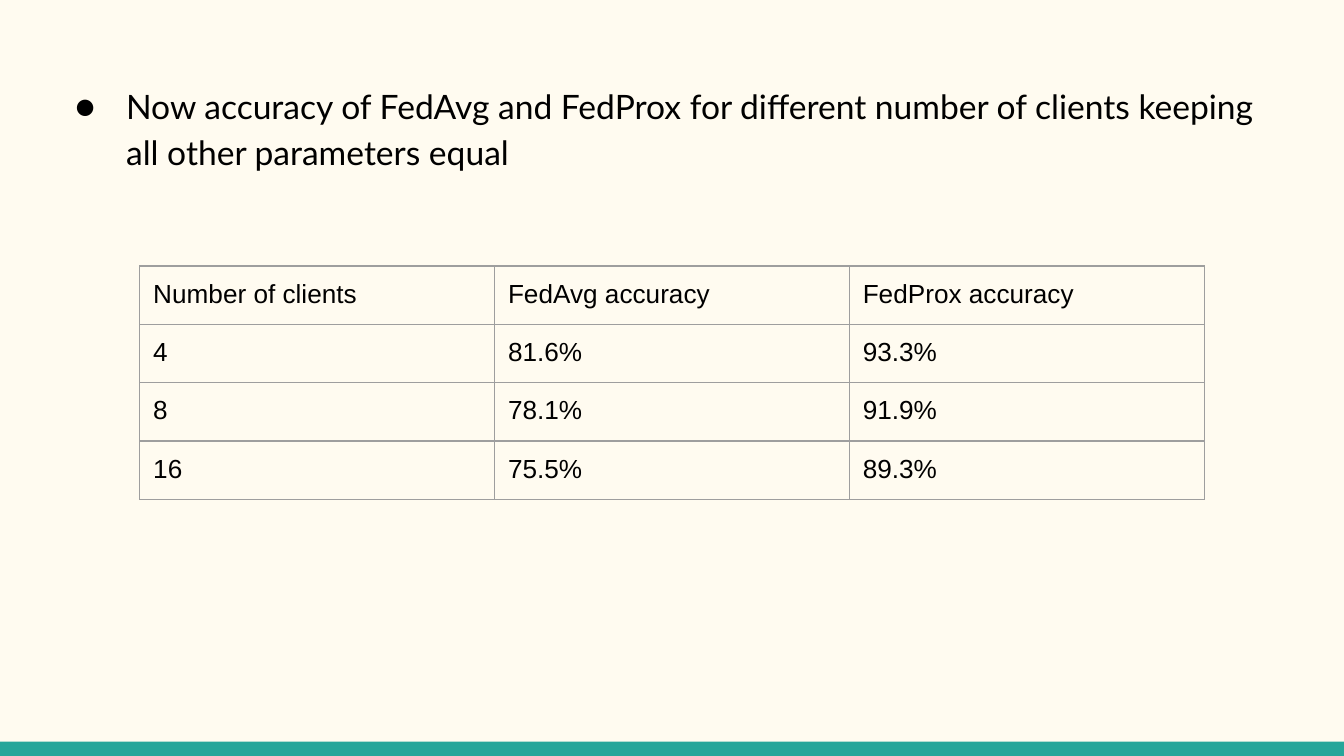
from lxml.etree import SubElement
from pptx import Presentation
from pptx.dml.color import RGBColor
from pptx.enum.shapes import MSO_SHAPE
from pptx.enum.text import MSO_ANCHOR
from pptx.oxml.ns import qn
from pptx.util import Inches, Pt

WIDTH = Inches(10)
HEIGHT = WIDTH * 9 // 16
COLORS = {"background": "FFFBF0", "band": "26A69A", "text": "000000", "grid": "9E9E9E"}
PADDING = Inches(0.1)
INSETS = {f"margin_{side}": PADDING for side in ("left", "top", "right", "bottom")}
PLAIN_TABLE = "{2D5ABB26-0587-4C30-8999-92F81FD0307C}"
STATEMENT = ("Now accuracy of FedAvg and FedProx for different number of clients "
             "keeping all other parameters equal")
ACCURACY = [
    ("Number of clients", "FedAvg accuracy", "FedProx accuracy"),
    ("4", "81.6%", "93.3%"),
    ("8", "78.1%", "91.9%"),
    ("16", "75.5%", "89.3%"),
]


def share(left, top, width, height):
    """Turn percentages of the slide's size into a box."""
    return tuple(round(size * part / 100) for size, part in
                 zip((WIDTH, HEIGHT, WIDTH, HEIGHT), (left, top, width, height)))


def color(name):
    return RGBColor.from_string(COLORS[name])


def apply(target, formats):
    for attribute, value in formats.items():
        setattr(target, attribute, value)


def write(paragraph, words, font, size):
    """Add the words, and give the paragraph's end the same font so it sets no other line height."""
    run = paragraph.add_run()
    run.text = words
    apply(run.font, {"name": font, "size": Pt(size)})
    run.font.color.rgb = color("text")
    ending = SubElement(paragraph._p, qn("a:endParaRPr"), sz=str(size * 100))
    for script in ("latin", "ea", "cs"):
        SubElement(ending, qn(f"a:{script}"), typeface=font)
    for script in ("ea", "cs"):
        SubElement(run.font._element, qn(f"a:{script}"), typeface=font)


def add_band(slide, box):
    band = slide.shapes.add_shape(MSO_SHAPE.RECTANGLE, *box)
    band.shadow.inherit = False
    band.fill.solid()
    band.fill.fore_color.rgb = color("band")
    band.line.fill.background()


def add_statement(slide, box):
    frame = slide.shapes.add_textbox(*box).text_frame
    apply(frame, {"word_wrap": True, **INSETS})
    paragraph = frame.paragraphs[0]
    paragraph.line_spacing = 1.15
    write(paragraph, STATEMENT, "Lato", 18)
    properties = paragraph._p.get_or_add_pPr()
    properties.set("marL", str(Inches(0.5)))
    properties.set("indent", str(Inches(-0.38)))
    bullet_color = SubElement(properties, qn("a:buClr"))
    SubElement(bullet_color, qn("a:srgbClr"), val=COLORS["text"])
    SubElement(properties, qn("a:buSzPts"), val="1800")
    SubElement(properties, qn("a:buFont"), typeface="Lato")
    SubElement(properties, qn("a:buChar"), char="●")


def add_borders(cell):
    properties = cell._tc.get_or_add_tcPr()
    for side in ("L", "R", "T", "B"):
        border = SubElement(properties, qn(f"a:ln{side}"), w=str(Pt(0.75)))
        fill = SubElement(border, qn("a:solidFill"))
        SubElement(fill, qn("a:srgbClr"), val=COLORS["grid"])


def add_accuracy_table(slide, box):
    table = slide.shapes.add_table(len(ACCURACY), len(ACCURACY[0]), *box).table
    apply(table, {"first_row": False, "horz_banding": False})
    table._tbl.tblPr.find(qn("a:tableStyleId")).text = PLAIN_TABLE
    for row, values in enumerate(ACCURACY):
        for column, value in enumerate(values):
            cell = table.cell(row, column)
            apply(cell, {"vertical_anchor": MSO_ANCHOR.TOP, **INSETS})
            add_borders(cell)
            cell.fill.background()
            write(cell.text_frame.paragraphs[0], value, "Arial", 14)


def main():
    deck = Presentation()
    apply(deck, {"slide_width": WIDTH, "slide_height": HEIGHT})
    slide = deck.slides.add_slide(deck.slide_layouts[6])
    slide.background.fill.solid()
    slide.background.fill.fore_color.rgb = color("background")
    add_band(slide, share(0, 98.1, 100, 1.9))
    add_statement(slide, share(3.4, 8.75, 93.2, 80.2))
    add_accuracy_table(slide, share(10.4, 35.2, 79.2, 29.63))
    deck.save("out.pptx")


if __name__ == "__main__":
    main()
